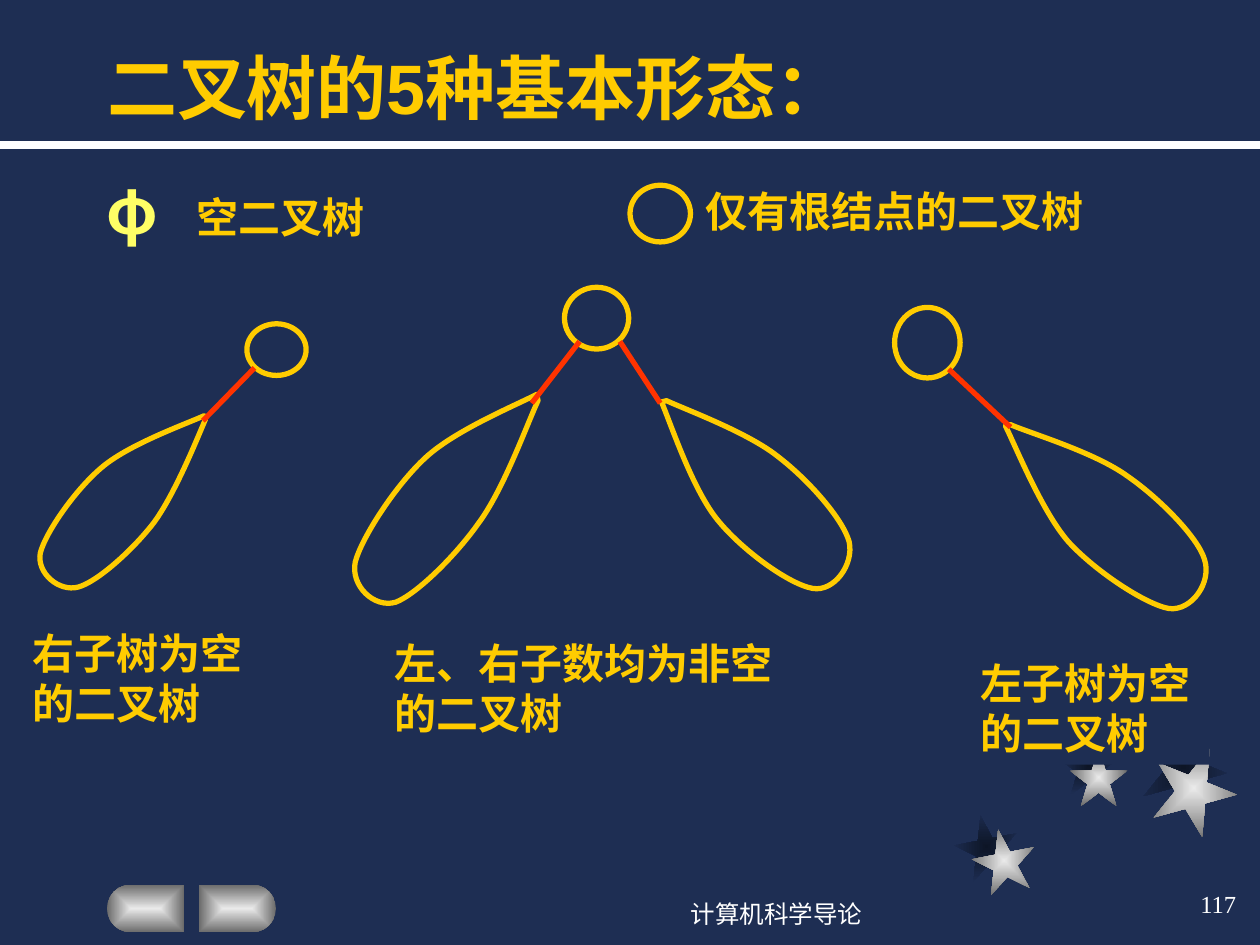
import math

import pptx
import pptx.dml.color
import pptx.enum.shapes
import pptx.enum.text
import pptx.oxml
import pptx.oxml.ns
import pptx.util
from lxml import etree
from pptx.util import Inches

NAVY, GOLD, RED, WHITE = "1E2E53", "FFCC00", "FF3300", "FFFFFF"
SHAPE = pptx.enum.shapes.MSO_SHAPE
ALIGN = pptx.enum.text.PP_ALIGN
ANCHOR = pptx.enum.text.MSO_ANCHOR
AUTO_SIZE = pptx.enum.text.MSO_AUTO_SIZE
qn = pptx.oxml.ns.qn


def rgb(color):
    return pptx.dml.color.RGBColor.from_string(color)


def write(box, text, size, color=GOLD, font="Times New Roman", bold=True,
          align=ALIGN.LEFT, anchor=ANCHOR.TOP, fit=AUTO_SIZE.SHAPE_TO_FIT_TEXT):
    """Put one formatted run into a wrapped text frame."""
    frame = box.text_frame
    frame.word_wrap = True
    frame.auto_size = fit
    frame.vertical_anchor = anchor
    para = frame.paragraphs[0]
    para.alignment = align
    span = para.add_run()
    span.text = text
    span.font.size = pptx.util.Pt(size)
    span.font.name = font
    span.font.bold = bold
    span.font.color.rgb = rgb(color)
    east_asian = etree.SubElement(span.font._element, qn("a:ea"))
    east_asian.set("typeface", "Noto Sans CJK SC")


deck = pptx.Presentation()
deck.slide_width, deck.slide_height = Inches(10), Inches(7.5)
page = deck.slides.add_slide(deck.slide_layouts[5])
shapes = page.shapes
page.background.fill.solid()
page.background.fill.fore_color.rgb = rgb(NAVY)

title = shapes.title
title.left, title.top = Inches(0.75), Inches(0.25)
title.width, title.height = Inches(8.5), Inches(0.82)
write(title, "二叉树的5种基本形态：", 40, font="Arial", anchor=ANCHOR.BOTTOM,
      fit=AUTO_SIZE.NONE)

# Decorative stars with their dark shadows, and the two half-round buttons
dark, silver = ("0D1526", NAVY), ("EAEAEA", "6B6B6B")
decorations = []
for left, top, size, turn, shades in [
    (7.58, 6.47, 0.5, 349, dark),
    (8.41, 5.85, 0.46, 0, dark),
    (9.06, 5.75, 0.67, 22, dark),
    (7.72, 6.58, 0.5, 349, silver),
    (8.49, 5.94, 0.46, 0, silver),
    (9.14, 5.92, 0.67, 22, silver),
]:
    star = shapes.add_shape(SHAPE.STAR_5_POINT, Inches(left), Inches(top),
                            Inches(size), Inches(size))
    star.rotation = turn
    decorations.append((star, shades))

radius = 0.19
for flat_edge, direction in [(1.46, -1), (1.58, 1)]:
    outline = [(flat_edge, 7.02)]
    for degrees in range(-90, 91, 15):
        angle = math.radians(degrees)
        outline.append((flat_edge + direction * (0.42 + radius * math.cos(angle)),
                        7.21 + radius * math.sin(angle)))
    outline.append((flat_edge, 7.4))
    points = [(Inches(x), Inches(y)) for x, y in outline]
    builder = shapes.build_freeform(*points[0])
    builder.add_line_segments(points[1:], close=True)
    decorations.append((builder.convert_to_shape(), silver))

for decoration, shades in decorations:
    decoration.shadow.inherit = False
    decoration.line.fill.background()
    decoration.fill.gradient()
    for stop, shade in zip(decoration.fill.gradient_stops, shades):
        stop.color.rgb = rgb(shade)
    gradient = decoration._element.spPr.find(qn("a:gradFill"))
    gradient.remove(gradient.find(qn("a:lin")))
    center = etree.SubElement(gradient, qn("a:path"))
    center.set("path", "rect")
    focus = etree.SubElement(center, qn("a:fillToRect"))
    for side in "ltrb":
        focus.set(side, "50000")

# Root nodes
for left, top, width, height in [
    (5, 1.47, 0.48, 0.45),
    (1.96, 2.57, 0.47, 0.41),
    (4.48, 2.28, 0.51, 0.49),
    (7.1, 2.44, 0.52, 0.56),
]:
    node = shapes.add_shape(SHAPE.OVAL, Inches(left), Inches(top),
                            Inches(width), Inches(height))
    node.shadow.inherit = False
    node.fill.solid()
    node.fill.fore_color.rgb = rgb(NAVY)
    node.line.color.rgb = rgb(GOLD)
    node.line.width = pptx.util.Pt(3)

# Subtrees: a start point, then two control points and an end point per curve
subtrees = [
    [(1.63, 3.33), (1.57, 3.47), (1.39, 3.92), (1.22, 4.15), (1.05, 4.37),
     (0.77, 4.62), (0.62, 4.66), (0.47, 4.7), (0.29, 4.55), (0.32, 4.39),
     (0.36, 4.23), (0.6, 3.88), (0.82, 3.7), (1.04, 3.52), (1.49, 3.36), (1.62, 3.3)],
    [(4.27, 3.18), (4.19, 3.35), (4, 3.88), (3.8, 4.15), (3.61, 4.42),
     (3.3, 4.72), (3.14, 4.78), (2.97, 4.83), (2.78, 4.65), (2.82, 4.46),
     (2.87, 4.27), (3.14, 3.85), (3.38, 3.63), (3.62, 3.41), (4.11, 3.21), (4.26, 3.13)],
    [(5.29, 3.18), (5.44, 3.25), (5.93, 3.43), (6.17, 3.62), (6.42, 3.81),
     (6.69, 4.12), (6.74, 4.3), (6.78, 4.48), (6.62, 4.7), (6.45, 4.67),
     (6.27, 4.64), (5.89, 4.37), (5.69, 4.12), (5.49, 3.87), (5.32, 3.35), (5.25, 3.19)],
    [(8.02, 3.37), (8.18, 3.44), (8.69, 3.59), (8.95, 3.78), (9.21, 3.96),
     (9.51, 4.27), (9.56, 4.44), (9.62, 4.62), (9.46, 4.85), (9.28, 4.83),
     (9.1, 4.8), (8.7, 4.54), (8.48, 4.3), (8.27, 4.06), (8.06, 3.54), (7.98, 3.38)],
]
for controls in subtrees:
    points = [(Inches(x), Inches(y)) for x, y in controls]
    builder = shapes.build_freeform(*points[0])
    builder.add_line_segments(points[1:], close=True)
    subtree = builder.convert_to_shape()
    subtree.shadow.inherit = False
    subtree.fill.background()
    subtree.line.color.rgb = rgb(GOLD)
    subtree.line.width = pptx.util.Pt(3)
    # Join every three straight segments into one Bézier curve
    segments = list(subtree._element.iter(qn("a:lnTo")))
    for first in range(0, len(segments), 3):
        curve = etree.Element(qn("a:cubicBezTo"))
        segments[first].addprevious(curve)
        for segment in segments[first:first + 3]:
            curve.append(segment[0])
            segment.getparent().remove(segment)

# Branches and the rule under the title
for x1, y1, x2, y2, color, weight in [
    (2.02, 2.92, 1.61, 3.34, RED, 3),
    (4.6, 2.71, 4.22, 3.2, RED, 3),
    (4.92, 2.71, 5.24, 3.2, RED, 3),
    (7.53, 2.93, 8.02, 3.39, RED, 3),
    (0, 1.15, 10, 1.15, WHITE, 4.5),
]:
    line = shapes.add_connector(pptx.enum.shapes.MSO_CONNECTOR.STRAIGHT,
                                Inches(x1), Inches(y1), Inches(x2), Inches(y2))
    line.line.color.rgb = rgb(color)
    line.line.width = pptx.util.Pt(weight)
    etree.SubElement(line._element.spPr, qn("a:effectLst"))

empty_tree = shapes.add_textbox(Inches(0.75), Inches(1.31), Inches(0.77), Inches(0.7))
write(empty_tree, "φ", 36, "FFFF66", "Noto Sans CJK SC", align=ALIGN.JUSTIFY)

for text, left, top, width, height in [
    ("空二叉树", 1.46, 1.47, 2.05, 0.5),
    ("仅有根结点的二叉树", 5.5, 1.42, 3.7, 0.5),
    ("右子树为空的二叉树", 0.16, 4.93, 2.1, 0.9),
    ("左、右子数均为非空的二叉树", 3.03, 5.01, 3.23, 0.9),
    ("左子树为空的二叉树", 7.68, 5.17, 1.92, 0.9),
]:
    label = shapes.add_textbox(Inches(left), Inches(top), Inches(width), Inches(height))
    write(label, text, 24)
# The last label hides the tops of the stars
label.fill.solid()
label.fill.fore_color.rgb = rgb(NAVY)

for text, left, top, width, align in [
    ("计算机科学导论", 4.58, 7, 3.17, ALIGN.CENTER),
    ("117", 7.83, 6.92, 2.08, ALIGN.RIGHT),
]:
    footer = shapes.add_textbox(Inches(left), Inches(top), Inches(width), Inches(0.5))
    write(footer, text, 14, WHITE, bold=False, align=align, anchor=ANCHOR.MIDDLE,
          fit=AUTO_SIZE.NONE)

deck.save("out.pptx")
